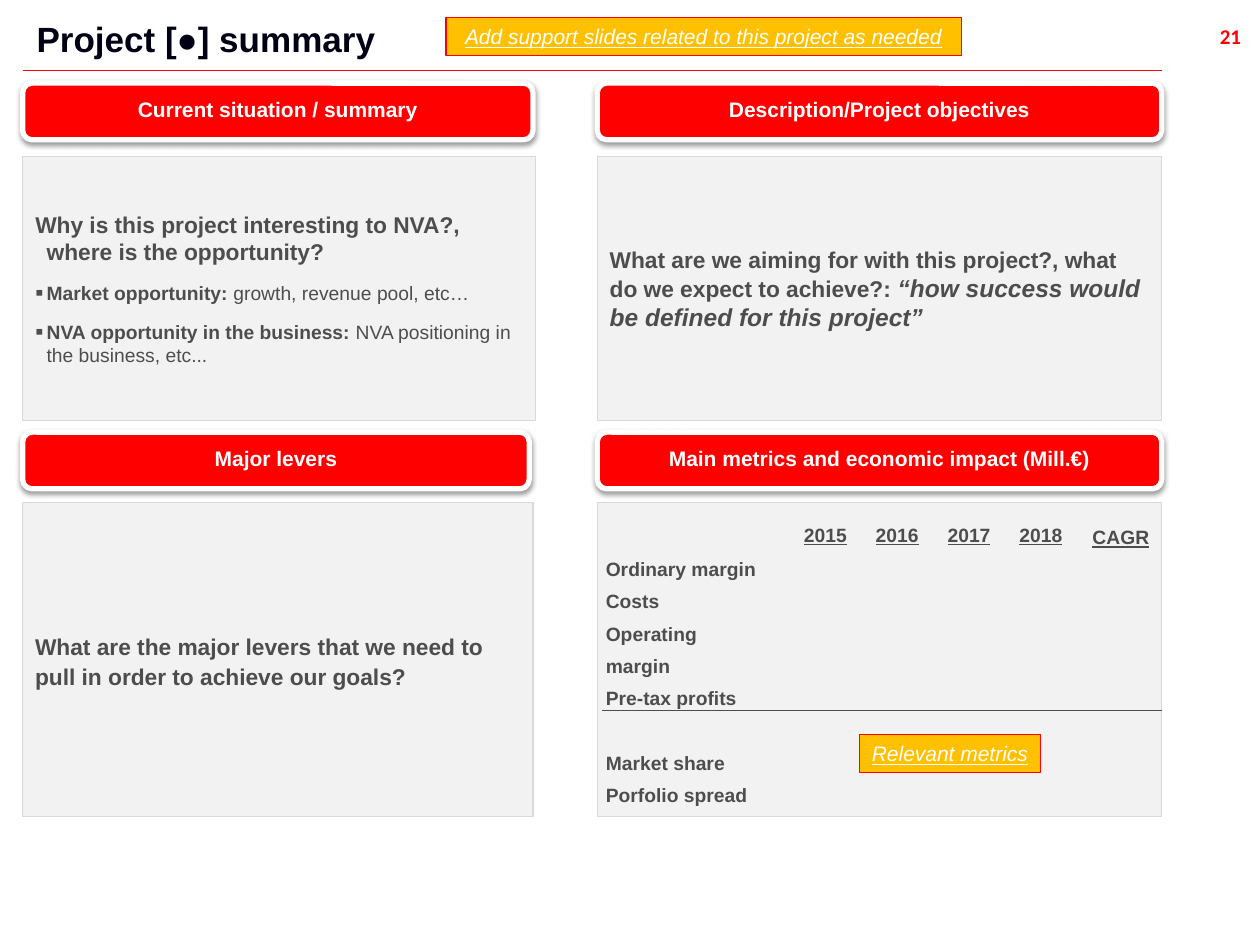
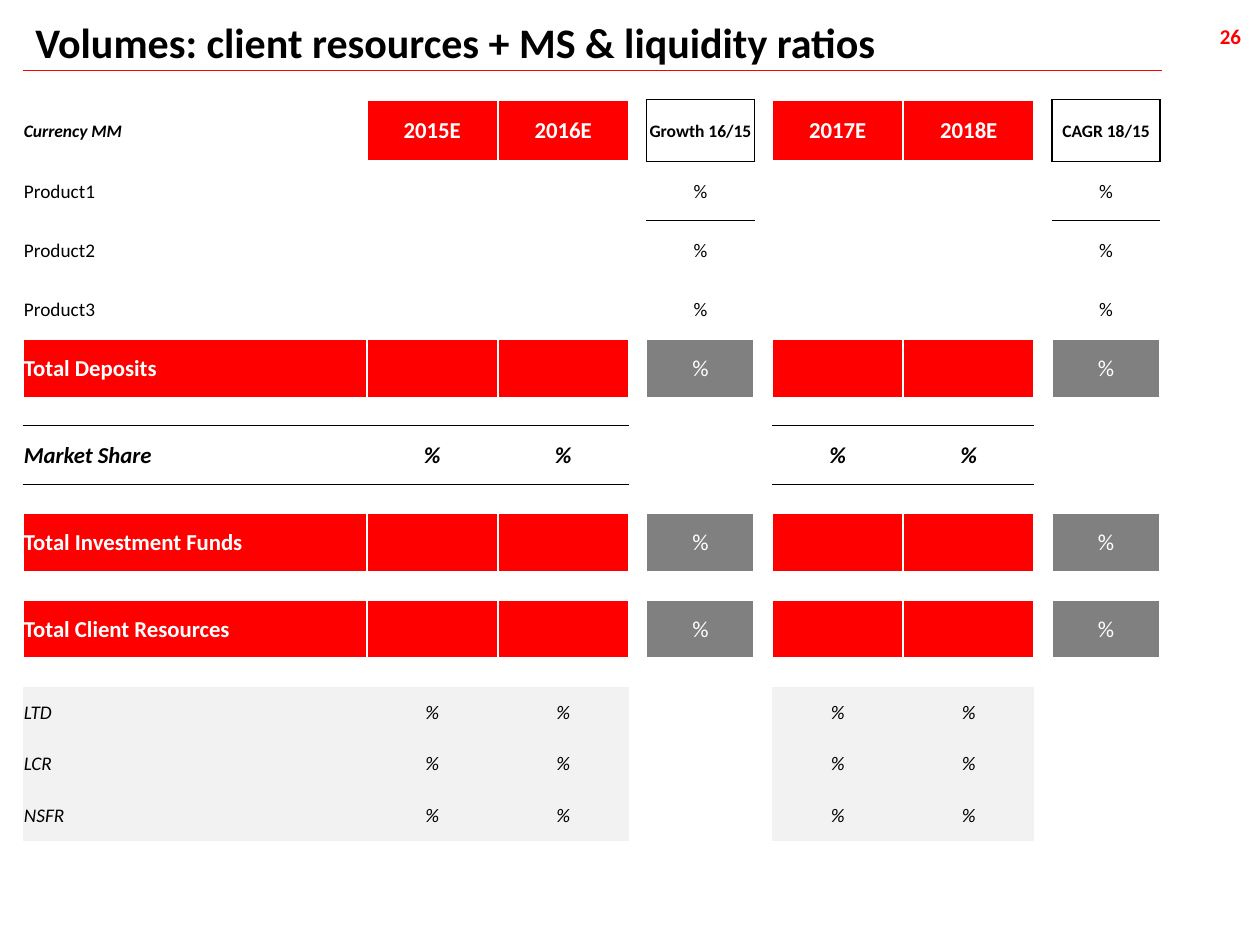
from dataclasses import dataclass, replace
from itertools import accumulate
from typing import NamedTuple, Optional

from lxml.etree import SubElement
from pptx import Presentation
from pptx.dml.color import RGBColor
from pptx.enum.shapes import MSO_CONNECTOR, MSO_SHAPE
from pptx.enum.text import MSO_ANCHOR, MSO_AUTO_SIZE, PP_ALIGN
from pptx.oxml.ns import qn
from pptx.util import Inches, Pt

RED = RGBColor(0xFF, 0x00, 0x00)
WHITE = RGBColor(0xFF, 0xFF, 0xFF)
BLACK = RGBColor(0x00, 0x00, 0x00)
NAVY = RGBColor(0x00, 0x00, 0x14)
DARK_GREY = RGBColor(0x4D, 0x4D, 0x4D)
MID_GREY = RGBColor(0x80, 0x80, 0x80)
PALE_GREY = RGBColor(0xF2, 0xF2, 0xF2)
EDGE_GREY = RGBColor(0xD9, 0xD9, 0xD9)
AMBER = RGBColor(0xFF, 0xC0, 0x00)

LEFT, RIGHT = 0.18, 9.22
RIGHT_COLUMN = 4.74
NO_TABLE_STYLE = "{2D5ABB26-0587-4C30-8999-92F81FD0307C}"


class Box(NamedTuple):
    left: float
    top: float
    width: float
    height: float

    def lengths(self) -> list:
        return [Inches(value) for value in self]


@dataclass(frozen=True)
class Style:
    size: float
    color: RGBColor
    bold: bool = False
    italic: bool = False
    underline: bool = False
    name: str = "Arial"


@dataclass(frozen=True)
class Line:
    runs: list
    align: PP_ALIGN = PP_ALIGN.LEFT
    spacing: float = 1.0
    before: float = 0
    hanging: float = 0
    bullet: str = ""


QUESTION = Style(13, DARK_GREY, bold=True)
DETAIL = Style(11, DARK_GREY)
DETAIL_BOLD = replace(DETAIL, bold=True)
METRIC_HEAD = replace(DETAIL_BOLD, underline=True)
QUOTE = Style(14, DARK_GREY, bold=True, italic=True)
HEADING = Style(12, WHITE, bold=True)
CALLOUT = Style(12, WHITE, italic=True, underline=True)
PAGE = Style(12, RED, bold=True, name="Calibri")
CELL = Style(11, BLACK, name="Calibri")


# Text
def add_run(paragraph, text: str, style: Style) -> None:
    run = paragraph.add_run()
    run.text = text
    font = run.font
    font.name, font.size = style.name, Pt(style.size)
    font.bold, font.italic, font.underline = style.bold, style.italic, style.underline
    font.color.rgb = style.color


def set_bullet(paragraph, line: Line) -> None:
    properties = paragraph._p.get_or_add_pPr()
    properties.set("marL", str(Inches(line.hanging)))
    properties.set("indent", str(-Inches(line.hanging)))
    if line.bullet:
        SubElement(properties, qn("a:buSzPct"), val="120000")
        SubElement(properties, qn("a:buFont"), typeface="Arial")
        SubElement(properties, qn("a:buChar"), char=line.bullet)
    else:
        SubElement(properties, qn("a:buNone"))


def write(shape, lines: list, anchor=MSO_ANCHOR.TOP, wrap: bool = True,
          margins: tuple = (0.1, 0.05)) -> None:
    frame = shape.text_frame
    frame.auto_size = MSO_AUTO_SIZE.NONE
    frame.word_wrap, frame.vertical_anchor = wrap, anchor
    frame.margin_left = frame.margin_right = Inches(margins[0])
    frame.margin_top = frame.margin_bottom = Inches(margins[1])
    for index, line in enumerate(lines):
        paragraph = frame.add_paragraph() if index else frame.paragraphs[0]
        set_bullet(paragraph, line)
        paragraph.alignment, paragraph.line_spacing = line.align, line.spacing
        paragraph.space_before = Pt(line.before)
        for text, style in line.runs:
            add_run(paragraph, text, style)


# Shapes
def place(shape, box: Box) -> None:
    shape.left, shape.top, shape.width, shape.height = box.lengths()


def paint(shape, fill: RGBColor, line: RGBColor, width: float = 0.75) -> None:
    shape.fill.solid()
    shape.fill.fore_color.rgb = fill
    shape.line.color.rgb = line
    shape.line.width = Pt(width)


def add_block(slide, kind, box: Box, fill: RGBColor, line: RGBColor, width: float = 0.75):
    shape = slide.shapes.add_shape(kind, *box.lengths())
    shape.shadow.inherit = False
    paint(shape, fill, line, width)
    return shape


def add_panel(slide, box: Box, lines: list, placeholder=None) -> None:
    if placeholder is None:
        panel = add_block(slide, MSO_SHAPE.RECTANGLE, box, PALE_GREY, EDGE_GREY)
    else:
        panel = placeholder
        place(panel, box)
        paint(panel, PALE_GREY, EDGE_GREY)
    write(panel, lines, MSO_ANCHOR.MIDDLE)


def add_heading(slide, box: Box, text: str) -> None:
    shape = add_block(slide, MSO_SHAPE.ROUNDED_RECTANGLE, box, RED, WHITE, 3)
    effects = shape._element.spPr.find(qn("a:effectLst"))
    shadow = SubElement(effects, qn("a:outerShdw"), blurRad=str(Pt(3.1)),
                        dist=str(Pt(1.6)), dir="5400000", algn="t", rotWithShape="0")
    color = SubElement(shadow, qn("a:srgbClr"), val=str(BLACK))
    SubElement(color, qn("a:alpha"), val="38000")
    write(shape, [Line([(text, HEADING)], PP_ALIGN.CENTER, 0.85)],
          MSO_ANCHOR.MIDDLE, wrap=False, margins=(0, 0))


def add_callout(slide, box: Box, text: str) -> None:
    shape = add_block(slide, MSO_SHAPE.RECTANGLE, box, AMBER, RED)
    write(shape, [Line([(text, CALLOUT)], PP_ALIGN.CENTER)], MSO_ANCHOR.MIDDLE, wrap=False)


def add_text(slide, box: Box, lines: list, **options) -> None:
    write(slide.shapes.add_textbox(*box.lengths()), lines, **options)


def add_rule(slide, left: float, top: float, color: RGBColor) -> None:
    rule = slide.shapes.add_connector(
        MSO_CONNECTOR.STRAIGHT, Inches(left), Inches(top), Inches(RIGHT), Inches(top))
    rule.line.color.rgb = color
    rule.line.width = Pt(0.75)
    SubElement(rule._element.spPr, qn("a:effectLst"))


def add_frame(presentation, layout: int, title: str, style: Style, box: Box, page: str):
    """Start a slide with the shared title, red rule and page number."""
    slide = presentation.slides.add_slide(presentation.slide_layouts[layout])
    place(slide.shapes.title, box)
    write(slide.shapes.title, [Line([(title, style)])])
    add_rule(slide, LEFT, 0.56, RED)
    add_text(slide, Box(9.49, 0.14, 0.42, 0.31), [Line([(page, PAGE)], PP_ALIGN.RIGHT)],
             wrap=False, margins=(0.06, 0.05))
    return slide


# Project summary
def build_summary(presentation) -> None:
    slide = add_frame(presentation, 1, "Project [●] summary",
                      Style(20, NAVY, bold=True), Box(0.19, 0.09, 9.41, 0.41), "21")
    opportunity = [
        Line([("Why is this project interesting to NVA?, where is the opportunity?", QUESTION)],
             hanging=0.09),
        Line([("Market opportunity: ", DETAIL_BOLD), ("growth, revenue pool, etc…", DETAIL)],
             before=9, hanging=0.09, bullet="▪"),
        Line([("NVA opportunity in the business: ", DETAIL_BOLD),
              ("NVA positioning in the business, etc...", DETAIL)],
             before=9, hanging=0.09, bullet="▪"),
    ]
    objectives = [Line([
        ("What are we aiming for with this project?, what do we expect to achieve?:", QUESTION),
        (" ", replace(QUOTE, bold=False, italic=False)),
        ("“how success would be defined for this project”", QUOTE)])]
    levers = [Line([("What are the major levers that we need to pull in order to achieve "
                     "our goals?", QUESTION)], spacing=1.1)]

    add_panel(slide, Box(LEFT, 1.24, 4.07, 2.1), opportunity, slide.placeholders[1])
    add_panel(slide, Box(RIGHT_COLUMN, 1.24, 4.48, 2.1), objectives)
    add_panel(slide, Box(LEFT, 3.99, 4.05, 2.49), levers)
    add_panel(slide, Box(RIGHT_COLUMN, 3.99, 4.48, 2.49), [])

    for left, top, width, text in (
        (LEFT, 0.66, 4.05, "Current situation / summary"),
        (RIGHT_COLUMN, 0.66, 4.48, "Description/Project objectives"),
        (LEFT, 3.43, 4.02, "Major levers"),
        (RIGHT_COLUMN, 3.43, 4.48, "Main metrics and economic impact (Mill.€)"),
    ):
        add_heading(slide, Box(left, top, width, 0.45), text)

    # Metrics grid
    metrics = ("Ordinary margin", "Costs", "Operating margin", "Pre-tax profits",
               "Market share", "Porfolio spread")
    add_text(slide, Box(4.71, 4.3, 1.46, 2.15),
             [Line([(metric, DETAIL_BOLD)], spacing=1.4,
                   before=18.4 if metric == "Market share" else 0) for metric in metrics])
    heads = [(Box(6.28 + 0.57 * index, 4.03, 0.54, 0.33), str(2015 + index))
             for index in range(4)]
    heads.append((Box(8.57, 4.05, 0.65, 0.33), "CAGR"))
    for box, text in heads:
        add_text(slide, box, [Line([(text, METRIC_HEAD)], PP_ALIGN.RIGHT, 1.4)], wrap=False)
    add_rule(slide, 4.78, 5.64, DARK_GREY)
    add_callout(slide, Box(6.82, 5.83, 1.44, 0.3), "Relevant metrics")
    add_callout(slide, Box(3.54, 0.14, 4.09, 0.3),
                "Add support slides related to this project as needed")


# Volumes table
class Look(NamedTuple):
    """How a row draws one kind of column."""
    style: Style
    text: str = ""
    fill: Optional[RGBColor] = None
    edge: Optional[tuple] = None
    sides: str = "LRTB"


WHITE_EDGE, BOX_EDGE, THIN_EDGE = (WHITE, 1.5), (BLACK, 1), (BLACK, 0.5)
TOTAL = replace(CELL, size=13, color=WHITE, bold=True)
SHARE = replace(CELL, size=13, bold=True, italic=True)
RATIO = replace(CELL, italic=True)
SMALL = replace(CELL, size=10, bold=True)
LOOKS = {
    "header": {"label": Look(replace(SMALL, italic=True)),
               "year": Look(TOTAL, fill=RED, edge=WHITE_EDGE),
               "rate": Look(SMALL, edge=BOX_EDGE)},
    "product": {"label": Look(CELL), "rate": Look(CELL, "%")},
    "total": {"label": Look(TOTAL, fill=RED, edge=WHITE_EDGE),
              "year": Look(TOTAL, fill=RED, edge=WHITE_EDGE),
              "rate": Look(replace(TOTAL, bold=False), "%", MID_GREY, WHITE_EDGE)},
    "share": {"label": Look(SHARE, edge=THIN_EDGE, sides="TB"),
              "year": Look(SHARE, "%", edge=THIN_EDGE, sides="TB")},
    "ratio": {"label": Look(RATIO, fill=PALE_GREY), "year": Look(RATIO, "%", PALE_GREY)},
    "gap": {},
}
COLUMNS = ["label", "year", "year", "gap", "rate", "gap", "year", "year", "gap", "rate"]
WIDTHS = {"label": 2.73, "year": 1.04, "gap": 0.14, "rate": 0.86}
HEIGHTS = {"header": 0.49, "gap": 0.22, "ratio": 0.41}
HEADER = {1: "2015E", 2: "2016E", 4: "Growth 16/15", 6: "2017E", 7: "2018E", 9: "CAGR 18/15"}
ROWS = [("header", "Currency MM"), ("product", "Product1"), ("product", "Product2"),
        ("product", "Product3"), ("total", "Total Deposits"), ("gap", ""),
        ("share", "Market Share"), ("gap", ""), ("total", "Total Investment Funds"),
        ("gap", ""), ("total", "Total Client Resources"), ("gap", ""),
        ("ratio", "LTD"), ("ratio", "LCR"), ("ratio", "NSFR")]
NEIGHBOURS = {"L": (0, -1, "R"), "R": (0, 1, "L"), "T": (-1, 0, "B"), "B": (1, 0, "T")}


def collect_edges() -> dict:
    """Give every edge to both of the cells that share it."""
    edges = {}
    for row, (kind, _) in enumerate(ROWS):
        for column, role in enumerate(COLUMNS):
            look = LOOKS[kind].get(role)
            if look and look.edge:
                for side in look.sides:
                    down, across, opposite = NEIGHBOURS[side]
                    edges[row, column, side] = look.edge
                    edges[row + down, column + across, opposite] = look.edge
    return edges


def draw_cell(cell, look: Look, text: str, align: PP_ALIGN, borders: list) -> None:
    cell.margin_left = cell.margin_right = cell.margin_top = Inches(0.01)
    cell.margin_bottom = 0
    cell.vertical_anchor = MSO_ANCHOR.MIDDLE
    paragraph = cell.text_frame.paragraphs[0]
    paragraph.alignment = align
    if text:
        add_run(paragraph, text, look.style)
    else:
        SubElement(paragraph._p, qn("a:endParaRPr"), sz="1000")
    for side, (color, width) in borders:
        line = SubElement(cell._tc.get_or_add_tcPr(), qn(f"a:ln{side}"), w=str(Pt(width)))
        SubElement(SubElement(line, qn("a:solidFill")), qn("a:srgbClr"), val=str(color))
    if look.fill is None:
        cell.fill.background()
    else:
        cell.fill.solid()
        cell.fill.fore_color.rgb = look.fill


def build_volumes(presentation) -> None:
    slide = add_frame(presentation, 5, "Volumes: client resources + MS & liquidity ratios",
                      Style(24, BLACK, bold=True, name="Calibri"),
                      Box(LEFT, 0.08, 9.57, 0.5), "26")
    widths = [WIDTHS[role] for role in COLUMNS]
    heights = [HEIGHTS.get(kind, 0.47) for kind, _ in ROWS]
    box = Box(LEFT, 0.79, list(accumulate(widths))[-1], list(accumulate(heights))[-1])
    table = slide.shapes.add_table(len(ROWS), len(COLUMNS), *box.lengths()).table
    table.first_row = table.horz_banding = False
    table._tbl.tblPr.find(qn("a:tableStyleId")).text = NO_TABLE_STYLE
    for column, width in zip(table.columns, widths):
        column.width = Inches(width)
    for row, height in zip(table.rows, heights):
        row.height = Inches(height)

    edges = collect_edges()
    for row, (kind, label) in enumerate(ROWS):
        for column, role in enumerate(COLUMNS):
            look = LOOKS[kind].get(role, Look(CELL))
            text = label if role == "label" else look.text
            if kind == "header":
                text = HEADER.get(column, text)
            align = PP_ALIGN.LEFT if role == "label" else PP_ALIGN.CENTER
            borders = [(side, edges[row, column, side]) for side in "LRTB"
                       if (row, column, side) in edges]
            draw_cell(table.cell(row, column), look, text, align, borders)


def main() -> None:
    presentation = Presentation()
    presentation.slide_width, presentation.slide_height = Inches(10), Inches(7.5)
    build_summary(presentation)
    build_volumes(presentation)
    presentation.save("out.pptx")


if __name__ == "__main__":
    main()
